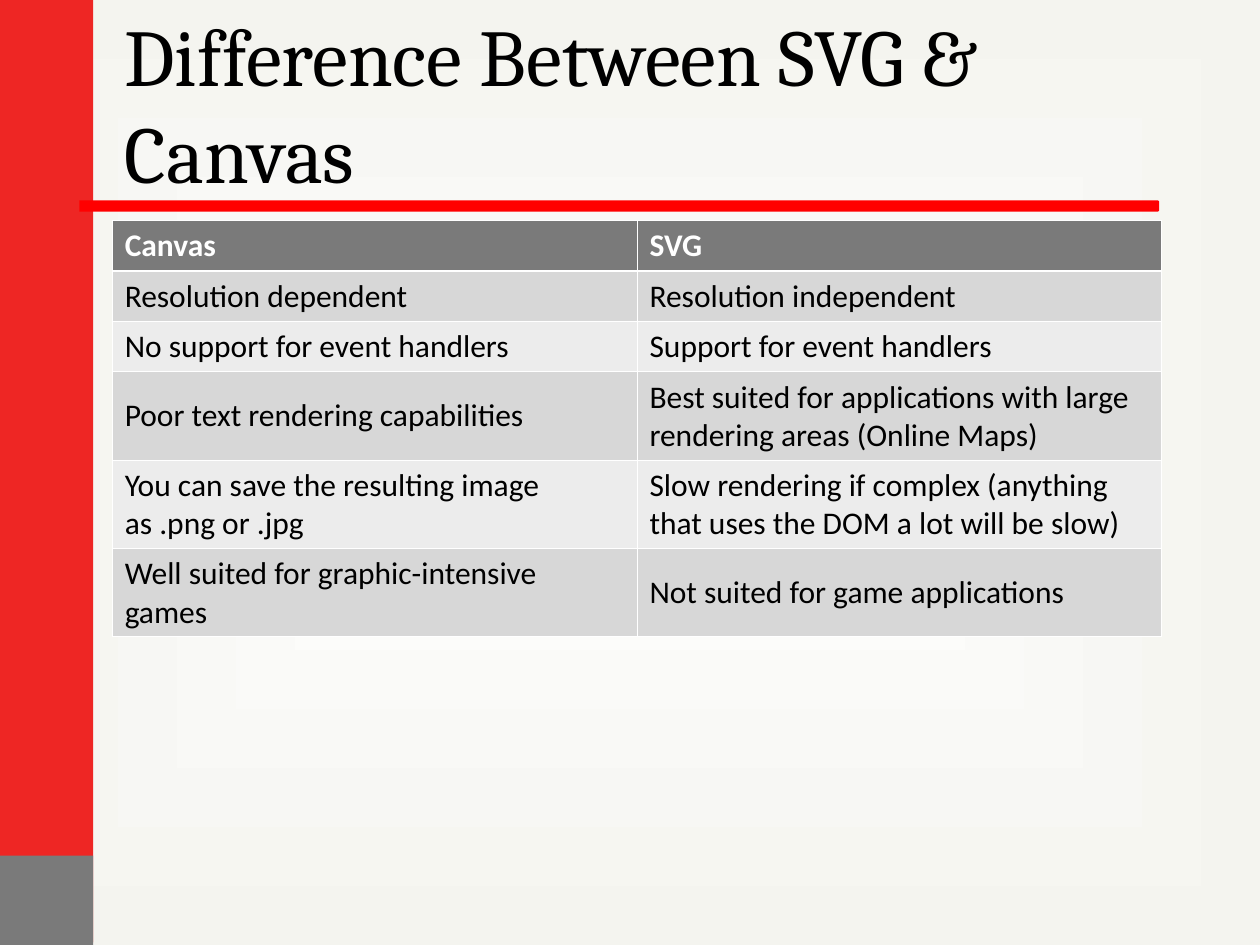
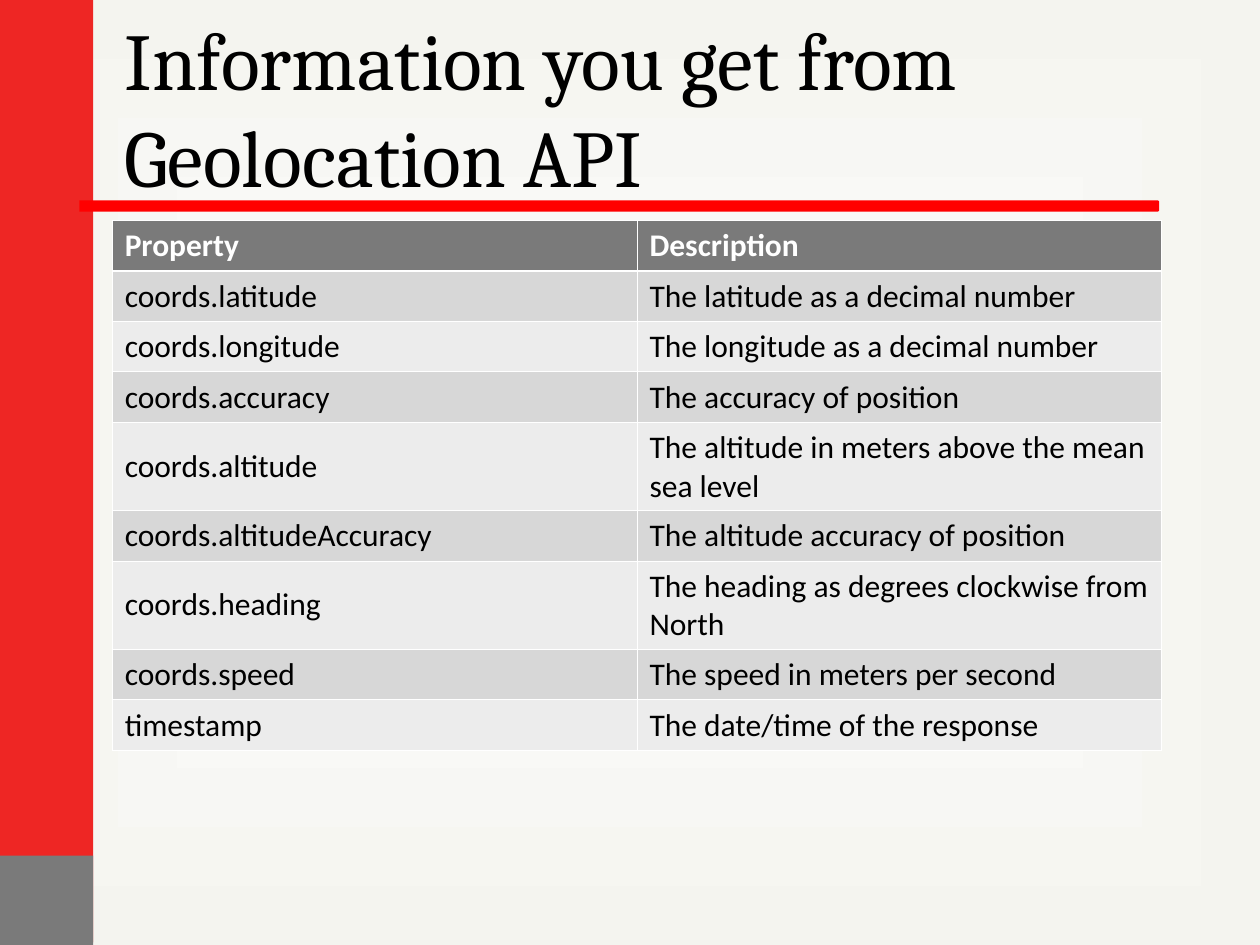
from dataclasses import dataclass

from lxml import etree
from pptx import Presentation
from pptx import util as u
from pptx.dml.color import RGBColor
from pptx.enum import shapes, text
from pptx.oxml import ns

# Content: title, title top and table rows (header first) of each slide
SLIDES = [
    {
        "title": "Difference Between SVG & Canvas",
        "top": 0.19,
        "rows": [
            ("Canvas", "SVG"),
            ("Resolution dependent", "Resolution independent"),
            ("No support for event handlers", "Support for event handlers"),
            ("Poor text rendering capabilities",
             "Best suited for applications with large rendering areas (Online Maps)"),
            ("You can save the resulting image as .png or .jpg",
             "Slow rendering if complex (anything that uses the DOM a lot will be slow)"),
            ("Well suited for graphic-intensive games",
             "Not suited for game applications"),
        ],
    },
    {
        "title": "Information you get from Geolocation API",
        "top": 0.22,
        "rows": [
            ("Property", "Description"),
            ("coords.latitude", "The latitude as a decimal number"),
            ("coords.longitude", "The longitude as a decimal number"),
            ("coords.accuracy", "The accuracy of position"),
            ("coords.altitude", "The altitude in meters above the mean sea level"),
            ("coords.altitudeAccuracy", "The altitude accuracy of position"),
            ("coords.heading", "The heading as degrees clockwise from North"),
            ("coords.speed", "The speed in meters per second"),
            ("timestamp", "The date/time of the response"),
        ],
    },
]


@dataclass(frozen=True)
class Theme:
    red: str = "EE2624"
    rule: str = "FF0000"
    grey: str = "7A7A7A"
    bands: tuple = ("ECECEC", "D7D7D7")
    white: str = "FFFFFF"
    edge: str = "F4F4EF"
    ink: str = "000000"
    title_font: str = "Cambria"
    title_size: int = 46
    body_font: str = "Calibri"
    body_size: int = 18
    thin: float = 0.45
    thick: float = 1.47


T = Theme()
LEFT, WIDTH = 0.89, 8.33
TABLE_TOP = 1.75
ONE_LINE, TWO_LINES = 0.4, 0.7
LINE_CHARS = 36  # longest text that stays on one line of a cell


def rgb(color):
    return RGBColor.from_string(color)


def paint(sp, color):
    sp.shadow.inherit = False
    sp.fill.solid()
    sp.fill.fore_color.rgb = rgb(color)
    sp.line.fill.background()


def style(p, name, size, color, bold=False):
    p.font.name, p.font.size, p.font.bold = name, u.Pt(size), bold
    p.font.color.rgb = rgb(color)


# Shared parts
def add_background(s):
    fill = s.background.fill
    fill.gradient()
    for stop, position, color in zip(fill.gradient_stops, (0, 1), (T.white, T.edge)):
        stop.position = position
        stop.color.rgb = rgb(color)
    grad = s.element.find(".//" + ns.qn("a:gradFill"))
    grad.remove(grad.find(ns.qn("a:lin")))
    shade = etree.SubElement(grad, ns.qn("a:path"), path="rect")
    etree.SubElement(shade, ns.qn("a:fillToRect"),
                     {side: "50000" for side in "ltrb"})


def add_bands(s):
    for top, height, color in ((-0.02, 7.5, T.red), (6.79, 0.75, T.grey)):
        sp = s.shapes.add_shape(shapes.MSO_SHAPE.RECTANGLE, u.Inches(-0.01),
                                u.Inches(top), u.Inches(0.75), u.Inches(height))
        paint(sp, color)


def add_title_rule(s):
    left, top, right, bottom, cut = 0.63, 1.59, 9.2, 1.68, 0.01
    outline = [(right - cut, top), (right, top + cut), (right, bottom - cut),
               (right - cut, bottom), (left, bottom)]
    fb = s.shapes.build_freeform(u.Inches(left), u.Inches(top))
    fb.add_line_segments([(u.Inches(x), u.Inches(y)) for x, y in outline])
    paint(fb.convert_to_shape(), T.rule)


def add_title(s, title, top):
    tf = s.shapes.add_textbox(u.Inches(LEFT), u.Inches(top),
                              u.Inches(WIDTH), u.Inches(1.25)).text_frame
    tf.word_wrap = True
    tf.vertical_anchor = text.MSO_ANCHOR.MIDDLE
    p = tf.paragraphs[0]
    p.text = title
    style(p, T.title_font, T.title_size, T.ink)


# Table
def set_borders(cell, row):
    widths = {"L": T.thin, "R": T.thin,
              "T": T.thick if row == 1 else T.thin,
              "B": T.thick if row == 0 else T.thin}
    tc_pr = cell._tc.get_or_add_tcPr()
    for i, (side, width) in enumerate(widths.items()):
        ln = etree.Element(ns.qn("a:ln" + side), w=str(u.Pt(width)))
        solid = etree.SubElement(ln, ns.qn("a:solidFill"))
        etree.SubElement(solid, ns.qn("a:srgbClr"), val=T.white)
        tc_pr.insert(i, ln)


def fill_cell(cell, content, row):
    header = row == 0
    cell.fill.solid()
    cell.fill.fore_color.rgb = rgb(T.grey if header else T.bands[row % 2])
    cell.vertical_anchor = text.MSO_ANCHOR.MIDDLE
    p = cell.text_frame.paragraphs[0]
    p.text = content
    style(p, T.body_font, T.body_size, T.white if header else T.ink, header)
    set_borders(cell, row)


def add_grid(s, rows):
    heights = [TWO_LINES if max(map(len, row)) > LINE_CHARS else ONE_LINE
               for row in rows]
    table = s.shapes.add_table(len(rows), len(rows[0]), u.Inches(LEFT),
                               u.Inches(TABLE_TOP), u.Inches(WIDTH),
                               u.Inches(sum(heights))).table
    for i, (row, height) in enumerate(zip(rows, heights)):
        table.rows[i].height = u.Inches(height)
        for j, content in enumerate(row):
            fill_cell(table.cell(i, j), content, i)


def main():
    prs = Presentation()
    prs.slide_width, prs.slide_height = u.Inches(10), u.Inches(7.5)
    for page in SLIDES:
        s = prs.slides.add_slide(prs.slide_layouts[6])
        add_background(s)
        add_bands(s)
        add_title_rule(s)
        add_title(s, page["title"], page["top"])
        add_grid(s, page["rows"])
    prs.save("out.pptx")


if __name__ == "__main__":
    main()
